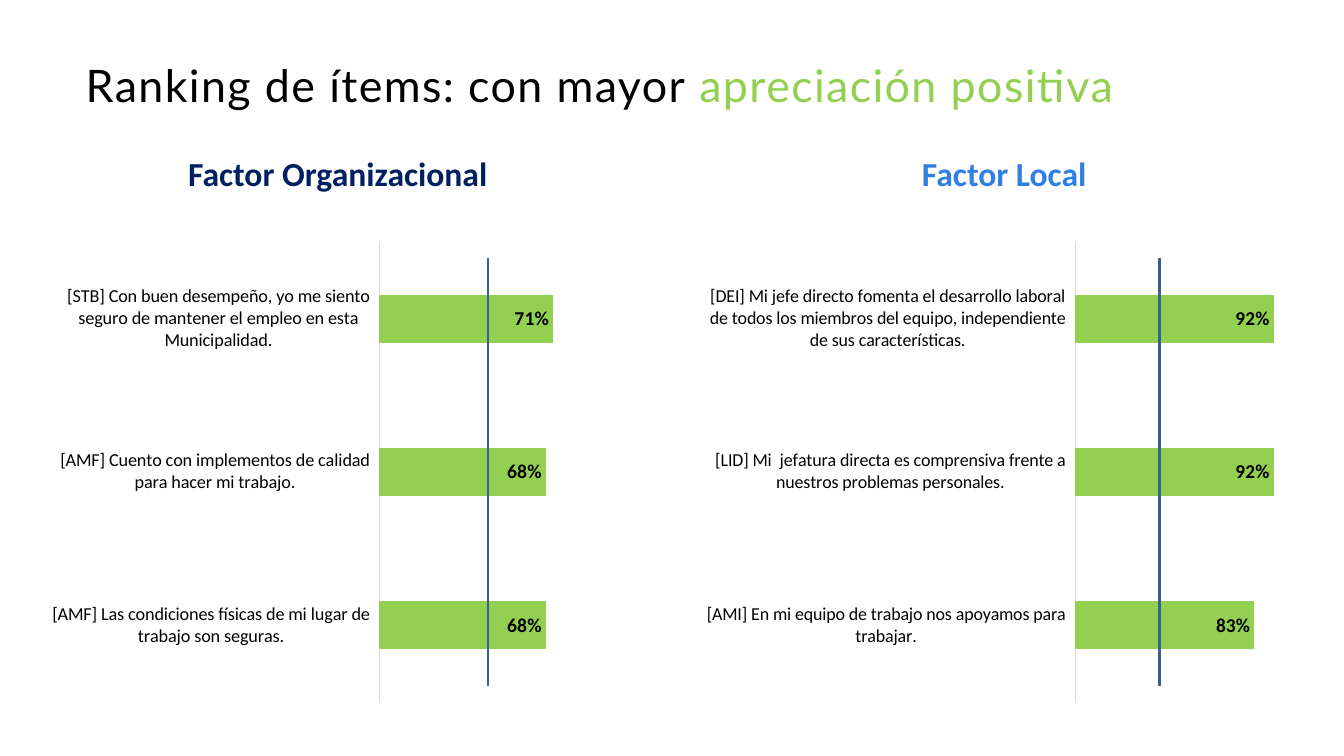
from lxml.etree import SubElement
from pptx import Presentation
from pptx.chart.data import CategoryChartData
from pptx.dml.color import RGBColor
from pptx.enum.chart import XL_CHART_TYPE as ChartType, XL_LABEL_POSITION as LabelPosition
from pptx.enum.chart import XL_TICK_LABEL_POSITION as TickLabels, XL_TICK_MARK as TickMark
from pptx.enum.shapes import MSO_CONNECTOR as Connector
from pptx.enum.text import MSO_ANCHOR as Anchor, MSO_AUTO_SIZE as AutoSize, PP_ALIGN as Align
from pptx.oxml.ns import qn
from pptx.util import Pt

PX = 9144
BLACK = RGBColor(0x00, 0x00, 0x00)
WHITE = RGBColor(0xFF, 0xFF, 0xFF)
GREEN = RGBColor(0x93, 0xD0, 0x51)
NAVY = RGBColor(0x00, 0x20, 0x60)
BLUE = RGBColor(0x30, 0x7F, 0xE2)
STEEL = RGBColor(0x37, 0x60, 0x92)
GRAY = RGBColor(0xD9, 0xD9, 0xD9)

FACTORS = [
    ("Factor Organizacional", NAVY, 83, 40, 484, [
        ("[AMF] Las condiciones físicas de mi lugar de trabajo son seguras.", 0.68),
        ("[AMF] Cuento con implementos de calidad para hacer mi trabajo.", 0.68),
        ("[STB] Con buen desempeño, yo me siento seguro de mantener el empleo "
         "en esta Municipalidad.", 0.71),
    ]),
    ("Factor Local", BLUE, 744, 701, 1150, [
        ("[AMI] En mi equipo de trabajo nos apoyamos para trabajar.", 0.83),
        ("[LID] Mi  jefatura directa es comprensiva frente a nuestros problemas "
         "personales.", 0.92),
        ("[DEI] Mi jefe directo fomenta el desarrollo laboral de todos los miembros "
         "del equipo, independiente de sus características.", 0.92),
    ]),
]


class RankingSlide:
    text_font = "Calibri"
    title_font = "Lato"

    def __init__(self, presentation):
        self.slide = presentation.slides.add_slide(presentation.slide_layouts[5])

    def style(self, font, size, color, bold=False, name=None):
        font.name = name or self.text_font
        font.size = Pt(size)
        font.bold = bold
        font.color.rgb = color

    def title(self, parts, left, top, width, height):
        shape = self.slide.shapes.title
        shape.left, shape.top = left * PX, top * PX
        shape.width, shape.height = width * PX, height * PX
        frame = shape.text_frame
        frame.auto_size = AutoSize.NONE
        frame.vertical_anchor = Anchor.MIDDLE
        frame.margin_left = frame.margin_right = 0
        frame.margin_top = frame.margin_bottom = 0
        paragraph = frame.paragraphs[0]
        paragraph.alignment = Align.LEFT
        paragraph.line_spacing = 0.9
        for text, color in parts:
            run = paragraph.add_run()
            run.text = text
            self.style(run.font, 32, color, name=self.title_font)
            run.font._element.set("spc", "100")

    def heading(self, text, color, left, top, width, height):
        shape = self.slide.shapes.add_textbox(left * PX, top * PX, width * PX, height * PX)
        frame = shape.text_frame
        frame.word_wrap = True
        frame.vertical_anchor = Anchor.MIDDLE
        frame.text = text
        paragraph = frame.paragraphs[0]
        paragraph.alignment = Align.CENTER
        paragraph.line_spacing = 0.9
        self.style(paragraph.runs[0].font, 24, color, bold=True)

    def bar_chart(self, items, left, top, width, height):
        data = CategoryChartData(number_format="0%")
        data.categories = [item for item, _ in items]
        data.add_series("Series 1", [value for _, value in items])
        chart = self.slide.shapes.add_chart(
            ChartType.BAR_CLUSTERED, left * PX, top * PX, width * PX, height * PX, data).chart
        chart.has_legend = False
        chart.has_title = False
        self.style(chart.font, 10, WHITE)

        category_axis = chart.category_axis
        category_axis.major_tick_mark = TickMark.NONE
        category_axis.minor_tick_mark = TickMark.NONE
        category_axis.tick_label_position = TickLabels.LOW
        category_axis.format.line.color.rgb = GRAY
        category_axis.format.line.width = Pt(0.75)
        self.style(category_axis.tick_labels.font, 13, BLACK)

        value_axis = chart.value_axis
        value_axis.minimum_scale, value_axis.maximum_scale = 0, 1
        value_axis.has_major_gridlines = False
        value_axis.visible = False

        plot = chart.plots[0]
        plot.gap_width = 219
        plot.vary_by_categories = False
        fill = plot.series[0].format.fill
        fill.solid()
        fill.fore_color.rgb = GREEN
        plot.has_data_labels = True
        labels = plot.data_labels
        labels.show_value = True
        labels.number_format = "0%"
        labels.number_format_is_linked = False
        labels.position = LabelPosition.INSIDE_END
        self.style(labels.font, 14, BLACK, bold=True)

    def vertical_line(self, x, top, bottom):
        line = self.slide.shapes.add_connector(
            Connector.STRAIGHT, x * PX, bottom * PX, x * PX, top * PX)
        line.line.color.rgb = STEEL
        line.line.width = Pt(2)
        SubElement(line._element.spPr, qn("a:effectLst"))


def main():
    presentation = Presentation()
    presentation.slide_width = 1333 * PX
    presentation.slide_height = 750 * PX
    ranking = RankingSlide(presentation)
    ranking.title([("Ranking de ítems: con mayor ", BLACK), ("apreciación positiva", GREEN)],
                  85, 34, 1178, 106)
    for name, color, heading_left, chart_left, line_x, items in FACTORS:
        ranking.heading(name, color, heading_left, 158, 504, 33)
        ranking.bar_chart(items, chart_left, 231, 591, 475)
        ranking.vertical_line(line_x, 256, 681)
    presentation.save("out.pptx")


if __name__ == "__main__":
    main()
